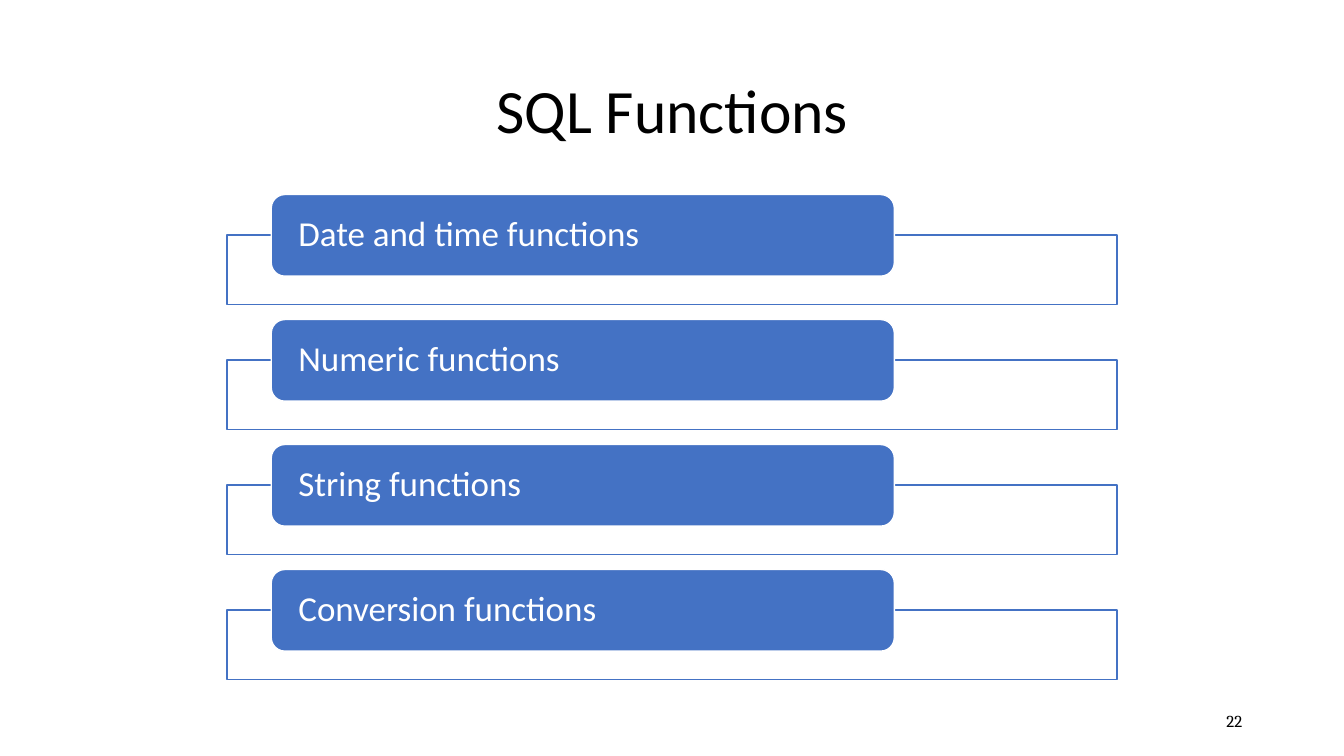
from pptx import Presentation
from pptx.dml.color import RGBColor
from pptx.enum.shapes import MSO_SHAPE
from pptx.enum.text import MSO_ANCHOR, PP_ALIGN
from pptx.util import Inches, Pt

BLUE = RGBColor(0x44, 0x72, 0xC4)
WHITE = RGBColor(0xFF, 0xFF, 0xFF)
BLACK = RGBColor(0x00, 0x00, 0x00)

prs = Presentation()
prs.slide_width = Inches(13.33)
prs.slide_height = Inches(7.5)
s = prs.slides.add_slide(prs.slide_layouts[6])


def add_text(sp, text, size, color, align, spacing=0.9, font="Calibri"):
    tf = sp.text_frame
    tf.word_wrap = True
    tf.vertical_anchor = MSO_ANCHOR.MIDDLE
    p = tf.paragraphs[0]
    p.alignment = align
    p.line_spacing = spacing
    r = p.add_run()
    r.text = text
    r.font.size = Pt(size)
    r.font.name = font
    r.font.color.rgb = color
    return tf


def add_box(kind, left, top, width, height, fill, line):
    sp = s.shapes.add_shape(kind, Inches(left), Inches(top), Inches(width), Inches(height))
    sp.shadow.inherit = False
    sp.fill.solid()
    sp.fill.fore_color.rgb = fill
    sp.line.color.rgb = line
    sp.line.width = Pt(1)
    return sp


title = s.shapes.add_textbox(Inches(0.92), Inches(0.4), Inches(11.5), Inches(1.45))
add_text(title, "SQL Functions", 44, BLACK, PP_ALIGN.CENTER)

functions = ["Date and time functions", "Numeric functions",
             "String functions", "Conversion functions"]
for i, name in enumerate(functions):
    top = 1.93 + 1.24 * i
    add_box(MSO_SHAPE.RECTANGLE, 2.25, top + 0.4, 8.83, 0.69, WHITE, BLUE)
    label = add_box(MSO_SHAPE.ROUNDED_RECTANGLE, 2.69, top, 6.18, 0.81, BLUE, WHITE)
    tf = add_text(label, name, 25, WHITE, PP_ALIGN.LEFT)
    tf.margin_left = tf.margin_right = Inches(0.23)
    tf.margin_top = tf.margin_bottom = 0

number = s.shapes.add_textbox(Inches(9.42), Inches(6.95), Inches(3), Inches(0.4))
add_text(number, "22", 12, BLACK, PP_ALIGN.RIGHT, 1.0, "Cambria")

prs.save("out.pptx")
